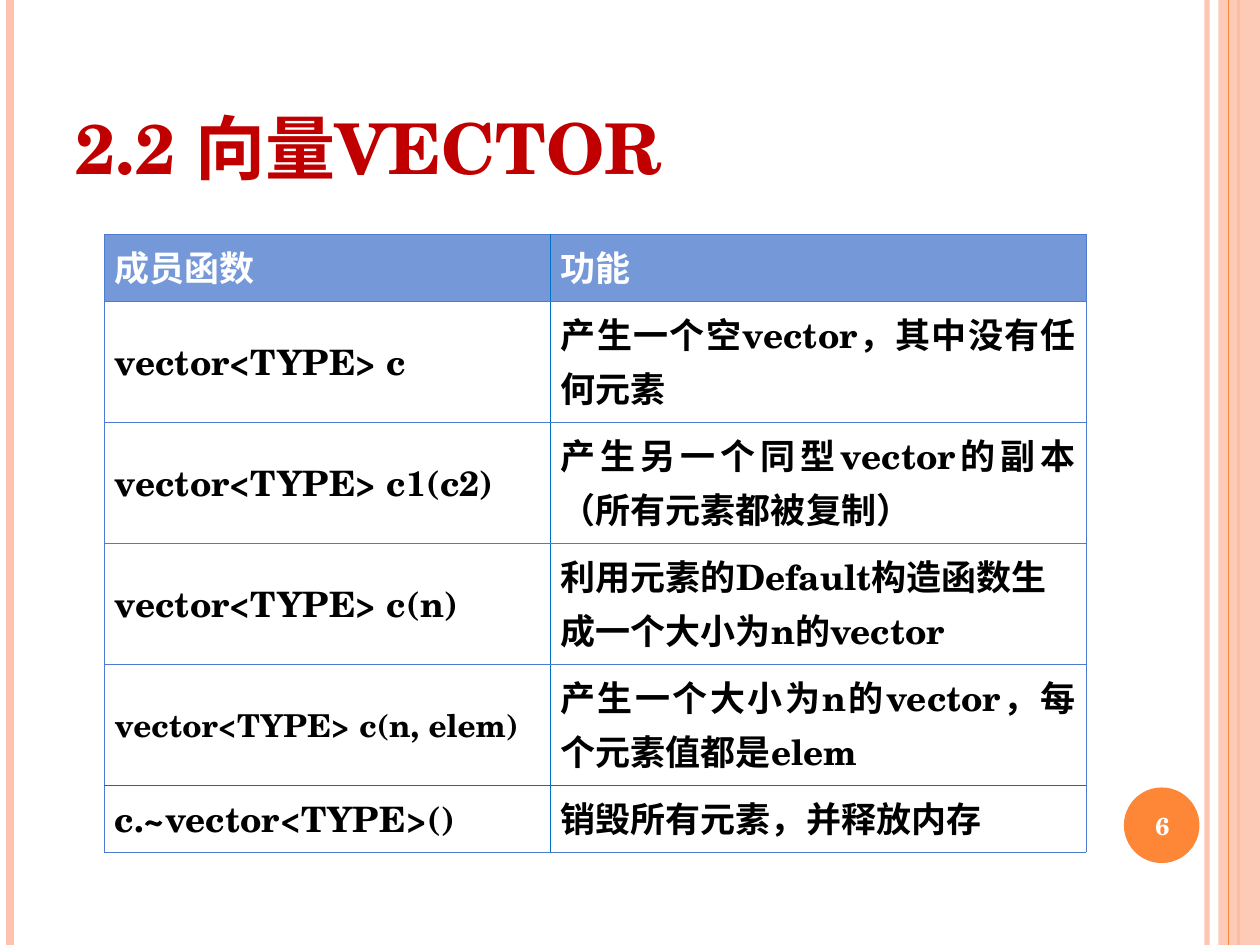
from pptx import Presentation
from pptx.dml.color import RGBColor
from pptx.enum.shapes import MSO_CONNECTOR as Connector, MSO_SHAPE as Shape
from pptx.enum.text import MSO_ANCHOR as Anchor, PP_ALIGN as Align
from pptx.oxml.ns import qn
from pptx.util import Inches, Pt
from lxml.etree import SubElement

FONT = "TeX Gyre Schola"
COLORS = {
    "peach": "FEC3AE", "orange": "FE8637", "title": "C00000", "header": "7598D9",
    "border": "4D7BCF", "divider": "0070C0", "text": "000000", "white": "FFFFFF",
}
TITLE = "2.2 向量VECTOR"
PAGE_NUMBER = "6"
ROWS = [
    ("成员函数", "功能"),
    ("vector<TYPE> c", "产生一个空vector，其中没有任何元素"),
    ("vector<TYPE> c1(c2)", "产生另一个同型vector的副本（所有元素都被复制）"),
    ("vector<TYPE> c(n)", "利用元素的Default构造函数生成一个大小为n的vector"),
    ("vector<TYPE> c(n, elem)", "产生一个大小为n的vector，每个元素值都是elem"),
    ("c.~vector<TYPE>()", "销毁所有元素，并释放内存"),
]
COLUMN_WIDTHS = [3.54, 4.25]
ROW_HEIGHTS = [0.4, 0.81, 0.81, 0.81, 0.81, 0.4]
SMALL_CELLS = {(4, 0)}
LEFT_CELLS = {(3, 1), (4, 0)}
STRIPES = [
    (9.58, "peach", 3, 93), (0.08, "peach", 4.5, 100),
    (9.83, "orange", 1.5, 100), (9.75, "orange", 0.75, 100),
]


def rgb(name):
    """Return a palette colour."""
    return RGBColor.from_string(COLORS[name])


def write(frame, text, size=20, color="text", align=Align.LEFT, anchor=Anchor.MIDDLE):
    """Put one formatted paragraph into a text frame."""
    frame.word_wrap = True
    frame.vertical_anchor = anchor
    paragraph = frame.paragraphs[0]
    paragraph.alignment = align
    run = paragraph.add_run()
    run.text = text
    run.font.size = Pt(size)
    run.font.bold = True
    run.font.name = FONT
    run.font.color.rgb = rgb(color)
    SubElement(run.font._element, qn("a:ea"), typeface=FONT)


def set_alpha(element, percent):
    """Make the solid colour inside an element partly transparent."""
    if percent < 100:
        color = element.find(".//" + qn("a:srgbClr"))
        SubElement(color, qn("a:alpha"), val=str(percent * 1000))


def add_stripe(slide, x, color, width, opacity):
    """Draw a vertical line over the full slide height."""
    line = slide.shapes.add_connector(
        Connector.STRAIGHT, Inches(x), Inches(0), Inches(x), Inches(7.5))
    line.line.color.rgb = rgb(color)
    line.line.width = Pt(width)
    properties = line._element.spPr
    set_alpha(properties, opacity)
    SubElement(properties, qn("a:effectLst"))


def add_block(slide, preset, box, color, opacity=100):
    """Draw a filled shape without outline."""
    shape = slide.shapes.add_shape(preset, *map(Inches, box))
    shape.shadow.inherit = False
    shape.fill.solid()
    shape.fill.fore_color.rgb = rgb(color)
    shape.line.fill.background()
    set_alpha(shape._element.spPr, opacity)


def set_borders(cell, row, column):
    """Draw the four borders of a table cell."""
    last = len(ROWS) - 1
    dividers = {"L": column == 1, "R": column == 0, "T": row == last, "B": row == last - 1}
    properties = cell._tc.get_or_add_tcPr()
    for index, (side, divider) in enumerate(dividers.items()):
        border = properties.makeelement(qn("a:ln" + side), {"w": str(Pt(0.45))})
        fill = SubElement(border, qn("a:solidFill"))
        SubElement(fill, qn("a:srgbClr"), val=COLORS["divider" if divider else "border"])
        properties.insert(index, border)


def add_function_table(slide):
    """Build the table of member functions."""
    frame = slide.shapes.add_table(
        len(ROWS), len(COLUMN_WIDTHS), Inches(0.83), Inches(1.86), Inches(7.8), Inches(3.86))
    table = frame.table
    table.first_row = table.horz_banding = False
    for column, width in zip(table.columns, COLUMN_WIDTHS):
        column.width = Inches(width)
    for row, height in zip(table.rows, ROW_HEIGHTS):
        row.height = Inches(height)
    frame.height = Inches(3.86)
    for i, texts in enumerate(ROWS):
        for j, text in enumerate(texts):
            cell = table.cell(i, j)
            cell.margin_left = cell.margin_right = Inches(0.08)
            cell.margin_top = cell.margin_bottom = Inches(0.05)
            cell.vertical_anchor = Anchor.MIDDLE
            if i == 0:
                cell.fill.solid()
                cell.fill.fore_color.rgb = rgb("header")
            else:
                cell.fill.background()
            set_borders(cell, i, j)
            write(cell.text_frame, text,
                  size=18 if (i, j) in SMALL_CELLS else 20,
                  color="text" if i else "white",
                  align=Align.LEFT if (i, j) in LEFT_CELLS else Align.JUSTIFY)


def main():
    """Build and save the slide."""
    presentation = Presentation()
    presentation.slide_width, presentation.slide_height = Inches(10), Inches(7.5)
    slide = presentation.slides.add_slide(presentation.slide_layouts[5])
    for stripe in STRIPES[:3]:
        add_stripe(slide, *stripe)
    add_block(slide, Shape.RECTANGLE, (9.67, 0, 0.33, 7.5), "peach", 87)
    add_stripe(slide, *STRIPES[3])
    add_block(slide, Shape.OVAL, (8.92, 6.25, 0.6, 0.6), "orange")

    title = slide.shapes.title
    title.left, title.top, title.width, title.height = map(Inches, (0.5, 0.3, 8.17, 1.25))
    write(title.text_frame, TITLE, size=40, color="title", anchor=Anchor.BOTTOM)
    add_function_table(slide)
    number = slide.shapes.add_textbox(*map(Inches, (8.89, 6.27, 0.67, 0.57)))
    write(number.text_frame, PAGE_NUMBER, size=14, color="white", align=Align.CENTER)
    presentation.save("out.pptx")


if __name__ == "__main__":
    main()
